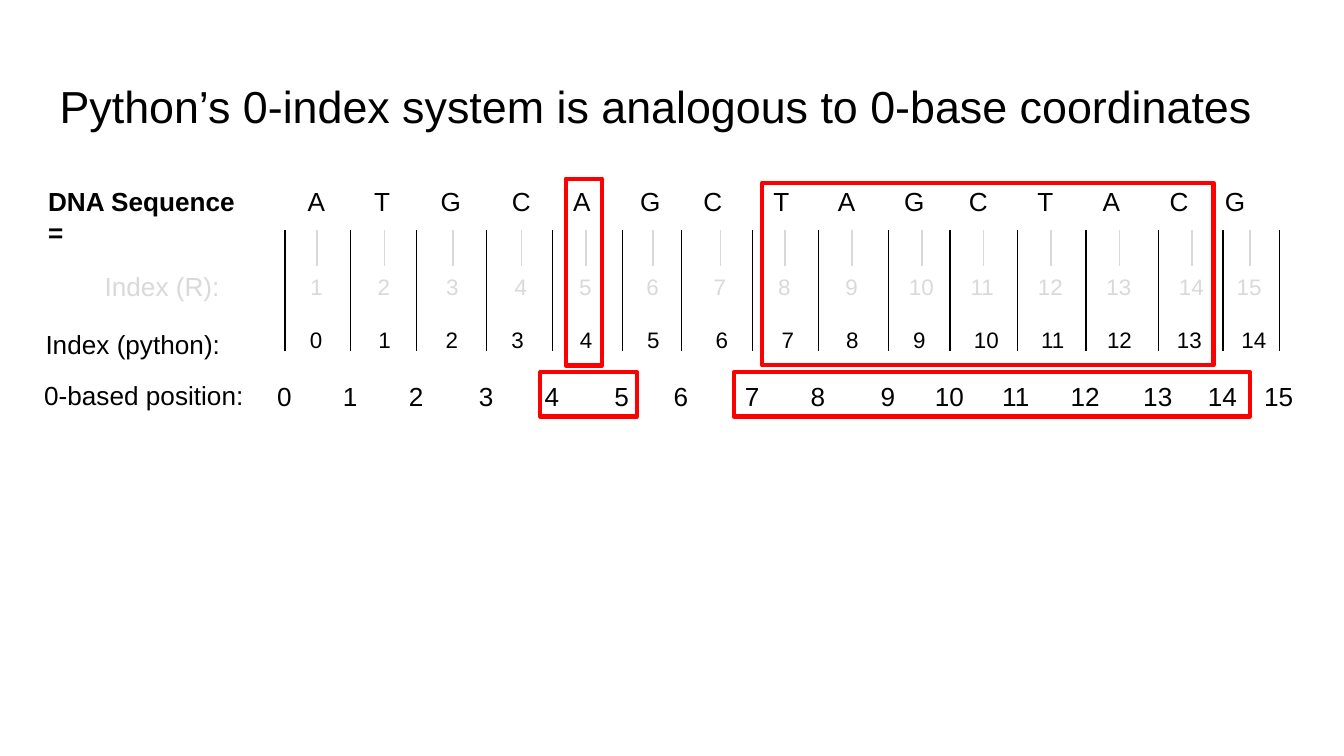
from lxml.etree import SubElement as Sub
from pptx import Presentation
from pptx.dml.color import RGBColor as Rgb
from pptx.enum.shapes import MSO_CONNECTOR as Conn, MSO_SHAPE as Kind
from pptx.enum.text import MSO_AUTO_SIZE as Auto
from pptx.oxml.ns import qn
from pptx.util import Inches, Pt

HUES = {"ink": "000000", "pale": "D9D9D9", "mark": "FF0000"}
WALLS = [21.2, 26.1, 31, 36.2, 41.1, 46.3, 50.7, 56, 60.9, 66.1, 70.7, 75.7,
         80.8, 86.2, 91, 95.2]
TICKS = [23.6, 28.6, 33.7, 38.8, 43.6, 48.6, 53.6, 58.4, 63.4, 68.6, 73.2,
         78.2, 83.3, 88.7, 93]
SPOTS = [23.55, 28.65, 33.65, 38.55, 43.65, 48.65, 53.75, 58.65, 63.45, 68.45,
         73.45, 78.45, 83.35, 88.55, 93.35]
BASES = [23.6, 28.45, 33.55, 38.8, 43.3, 48.4, 53.05, 58.15, 63, 68.05, 72.8,
         77.8, 82.7, 87.75, 91.9]


class Board:
    """Draws styled elements on one slide, on a grid of 100 columns."""

    def __init__(self, deck):
        self.slide = deck.slides.add_slide(deck.slide_layouts[6])
        self.unit = deck.slide_width / 100
        self.face = "Arial"

    def grid(self, *cells):
        return [round(cell * self.unit) for cell in cells]

    def text(self, words, x, y, w, h, size=14, hue="ink", bold=False,
             wrap=True, pad=0.1, tabs=()):
        frame = self.slide.shapes.add_textbox(*self.grid(x, y, w, h)).text_frame
        look = {"word_wrap": wrap, "auto_size": Auto.SHAPE_TO_FIT_TEXT,
                "margin_left": Inches(0.1), "margin_right": Inches(0.1),
                "margin_top": Inches(pad), "margin_bottom": Inches(pad)}
        for key, val in look.items():
            setattr(frame, key, val)
        para = frame.paragraphs[0]
        para.text = words
        if tabs:
            stops = Sub(para._p.get_or_add_pPr(), qn("a:tabLst"))
            for stop in self.grid(*tabs):
                Sub(stops, qn("a:tab"), pos=str(stop), algn="ctr")
        font = para.runs[0].font
        for key, val in {"name": self.face, "size": Pt(size), "bold": bold}.items():
            setattr(font, key, val)
        font.color.rgb = Rgb.from_string(HUES[hue])

    def row(self, spots, first, y, size, hue="ink"):
        for num, mid in enumerate(spots, first):
            wide = 2 + len(str(num)) * size * 0.08
            self.text(str(num), mid - wide / 2, y, wide, 0.6 + size * 0.2,
                      size, hue, wrap=False, pad=0.05)

    def lines(self, spots, top, end, hue):
        for x in spots:
            line = self.slide.shapes.add_connector(
                Conn.STRAIGHT, *self.grid(x, top, x, end))
            line.line.color.rgb = Rgb.from_string(HUES[hue])
            line.line.width = Pt(0.75)
            Sub(line._element.spPr, qn("a:effectLst"))

    def box(self, x, y, w, h):
        rect = self.slide.shapes.add_shape(Kind.RECTANGLE, *self.grid(x, y, w, h))
        rect.shadow.inherit = False
        rect.fill.background()
        rect.line.color.rgb = Rgb.from_string(HUES["mark"])
        rect.line.width = Pt(2.25)


def main():
    deck = Presentation()
    deck.slide_width = Inches(10)
    deck.slide_height = deck.slide_width * 9 // 16
    board = Board(deck)
    board.text("Python’s 0-index system is analogous to 0-base coordinates",
               3.45, 4.85, 93.2, 6.3, size=24)
    left = 21.9
    board.text("\t".join("ATGCAGCTAGCTACG"), left, 12.8, 72.9, 4.4,
               tabs=[mid - left - 1 for mid in BASES[1:]])
    board.text("DNA Sequence =", 2.6, 12.8, 17.3, 4.4, bold=True)
    board.text("Index (R):", 6.8, 19.1, 14.9, 4.4, hue="pale")
    board.text("Index (python):", 2.4, 23.45, 17.5, 4.4)
    board.text("0-based position:", 2.3, 27.2, 17.6, 4.4)
    board.lines(TICKS, 17.1, 19.8, "pale")
    board.lines(WALLS, 17.1, 26.1, "ink")
    board.row(TICKS, 1, 19.8, 12, "pale")
    board.row(SPOTS, 0, 23.8, 12)
    board.row(WALLS, 0, 27.8, 14)
    for area in [(42.1, 13.3, 2.7, 13.9), (56.7, 13.6, 33.6, 13.6),
                 (40.2, 27.7, 7.2, 3.3), (54.6, 27.7, 38.4, 3.3)]:
        board.box(*area)
    deck.save("out.pptx")


if __name__ == "__main__":
    main()
